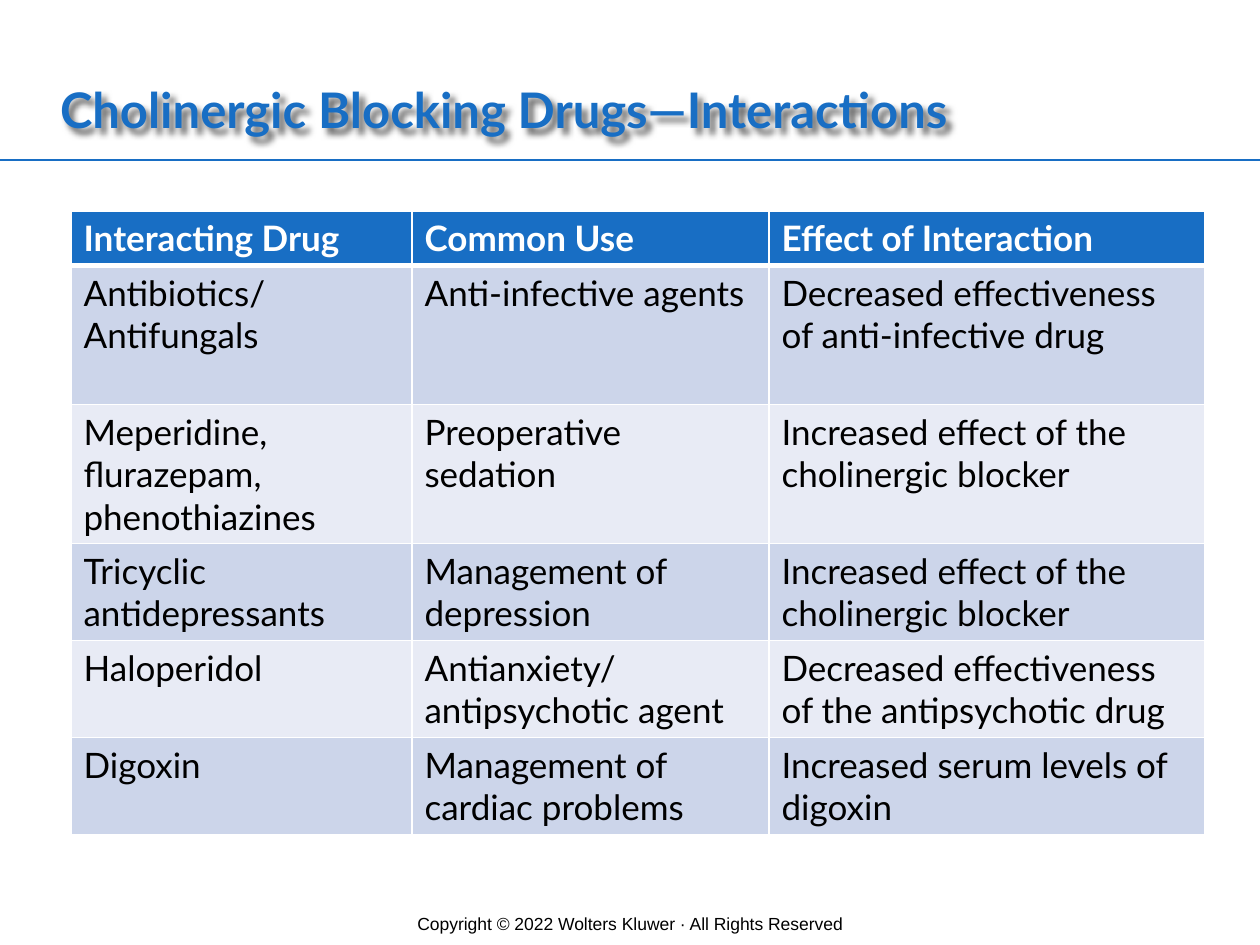
from lxml.etree import SubElement
from pptx import Presentation
from pptx.dml.color import RGBColor
from pptx.enum.text import MSO_ANCHOR, MSO_AUTO_SIZE, PP_ALIGN
from pptx.enum.shapes import MSO_CONNECTOR
from pptx.oxml import parse_xml
from pptx.oxml.ns import nsdecls, qn
from pptx.util import Emu, Pt

BLUE = RGBColor(0x18, 0x6E, 0xC4)
BLACK = RGBColor(0, 0, 0)
WHITE = RGBColor(255, 255, 255)
BANDS = (RGBColor(0xCC, 0xD5, 0xEA), RGBColor(0xE8, 0xEB, 0xF5))

TITLE_SHADOW = (
    f'<a:effectLst {nsdecls("a")}>'
    '<a:outerShdw blurRad="50800" dist="50800" dir="2700000" algn="tl" rotWithShape="0">'
    '<a:srgbClr val="000000"><a:alpha val="60000"/></a:srgbClr>'
    '</a:outerShdw></a:effectLst>'
)

INTERACTIONS = [
    ("Interacting Drug", "Common Use", "Effect of Interaction"),
    ("Antibiotics/ Antifungals", "Anti-infective agents",
     "Decreased effectiveness of anti-infective drug"),
    ("Meperidine, flurazepam, phenothiazines", "Preoperative sedation",
     "Increased effect of the cholinergic blocker"),
    ("Tricyclic antidepressants", "Management of depression",
     "Increased effect of the cholinergic blocker"),
    ("Haloperidol", "Antianxiety/ antipsychotic agent",
     "Decreased effectiveness of the antipsychotic drug"),
    ("Digoxin", "Management of cardiac problems",
     "Increased serum levels of digoxin"),
]
COLUMN_WIDTHS = (341, 357, 436)
ROW_HEIGHTS = (54, 139, 139, 97, 97, 97)


def px(length):
    return Emu(round(length * 914400 / 126))


def write(frame, text, *, size, color, font="Lato", bold=False,
          align=PP_ALIGN.LEFT, spacing=None):
    paragraph = frame.paragraphs[0]
    paragraph.alignment = align
    if spacing:
        paragraph.line_spacing = spacing
    run = paragraph.add_run()
    run.text = text
    run.font.name = font
    run.font.size = Pt(size)
    run.font.bold = bold
    run.font.color.rgb = color


def set_border(cell, side, width):
    line = SubElement(cell._tc.get_or_add_tcPr(), qn(f"a:ln{side}"), w=str(Pt(width)))
    fill = SubElement(line, qn("a:solidFill"))
    SubElement(fill, qn("a:srgbClr"), val=str(WHITE))


class SlideBuilder:
    def __init__(self, slide):
        self.slide = slide

    def title(self, text, left, top, width, height):
        title = self.slide.shapes.title
        title.left, title.top, title.width, title.height = map(px, (left, top, width, height))
        title.fill.background()
        title._element.spPr.append(parse_xml(TITLE_SHADOW))
        frame = title.text_frame
        frame.margin_left = frame.margin_right = frame.margin_top = frame.margin_bottom = 0
        frame.vertical_anchor = MSO_ANCHOR.BOTTOM
        frame.word_wrap = True
        frame.auto_size = MSO_AUTO_SIZE.SHAPE_TO_FIT_TEXT
        write(frame, text, size=28, color=BLUE, bold=True, spacing=0.9)

    def rule(self, left, right, y):
        rule = self.slide.shapes.add_connector(
            MSO_CONNECTOR.STRAIGHT, px(left), px(y), px(right), px(y))
        rule.line.color.rgb = BLUE
        rule.line.width = Pt(0.75)
        SubElement(rule._element.spPr, qn("a:effectLst"))

    def footer(self, text, left, top, width, height):
        box = self.slide.shapes.add_textbox(*map(px, (left, top, width, height)))
        box.text_frame.word_wrap = True
        write(box.text_frame, text, size=10, color=BLACK, font="Arial", align=PP_ALIGN.CENTER)

    def table(self, rows, left, top, widths, heights):
        table = self.slide.shapes.add_table(
            len(rows), len(widths), px(left), px(top),
            px(sum(widths)), px(sum(heights))).table
        for column, width in zip(table.columns, widths):
            column.width = px(width)
        for row, height in zip(table.rows, heights):
            row.height = px(height)
        for r, texts in enumerate(rows):
            header = r == 0
            for c, text in enumerate(texts):
                cell = table.cell(r, c)
                # The line below the header is thicker than the rest
                for side in "LRTB":
                    thick = (r, side) in ((0, "B"), (1, "T"))
                    set_border(cell, side, 3 if thick else 1)
                cell.fill.solid()
                cell.fill.fore_color.rgb = BLUE if header else BANDS[(r - 1) % 2]
                write(cell.text_frame, text, size=20, bold=header,
                      color=WHITE if header else BLACK)


def main():
    deck = Presentation()
    deck.slide_width, deck.slide_height = px(1260), px(945)
    builder = SlideBuilder(deck.slides.add_slide(deck.slide_layouts[5]))

    # Footer and heading
    builder.footer("Copyright © 2022 Wolters Kluwer · All Rights Reserved", 0, 907, 1260, 38)
    builder.rule(0, 1260, 160)
    builder.title("Cholinergic Blocking Drugs—Interactions", 60, 86, 1134, 53)

    # Drug interactions
    builder.table(INTERACTIONS, 71, 211, COLUMN_WIDTHS, ROW_HEIGHTS)

    deck.save("out.pptx")


if __name__ == "__main__":
    main()
